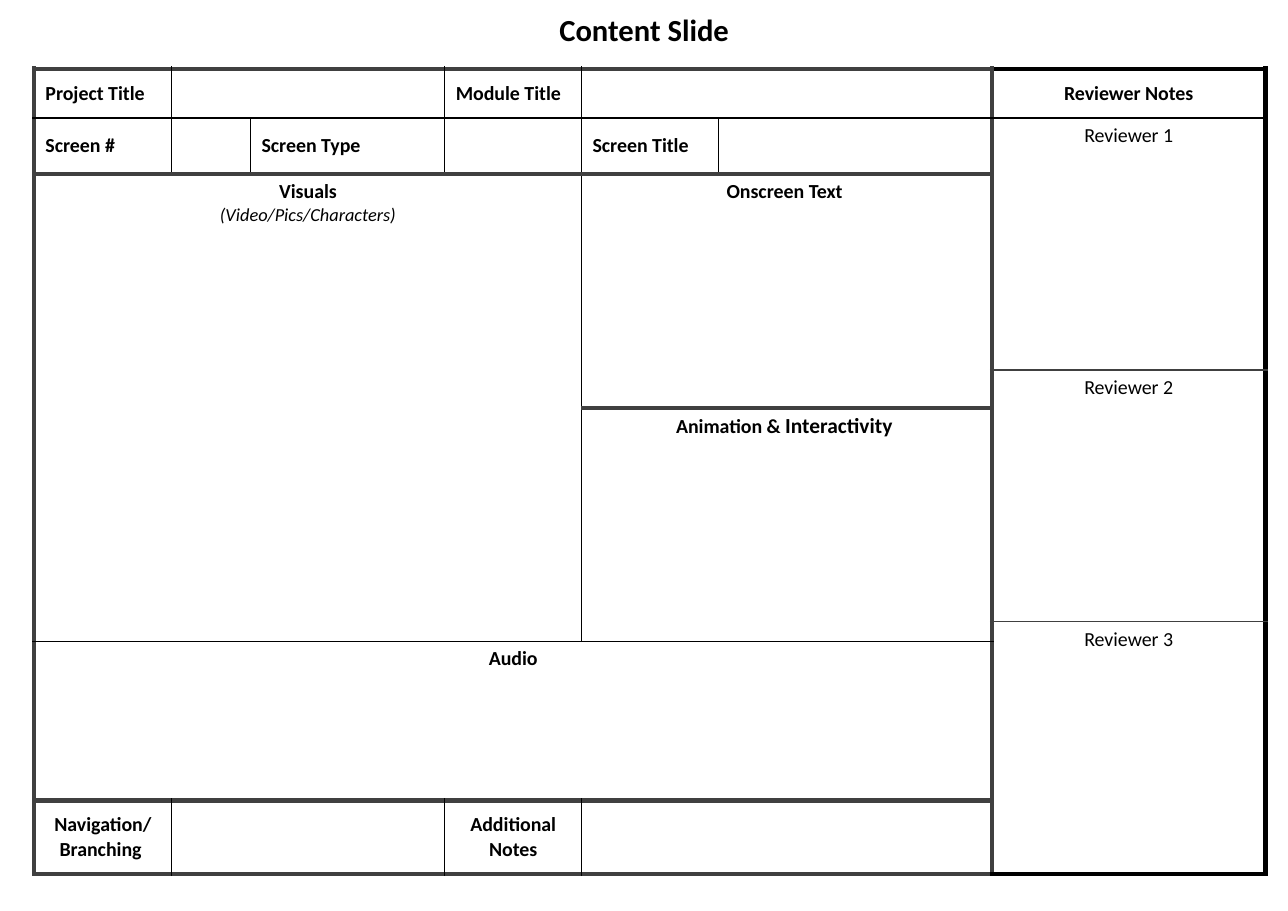
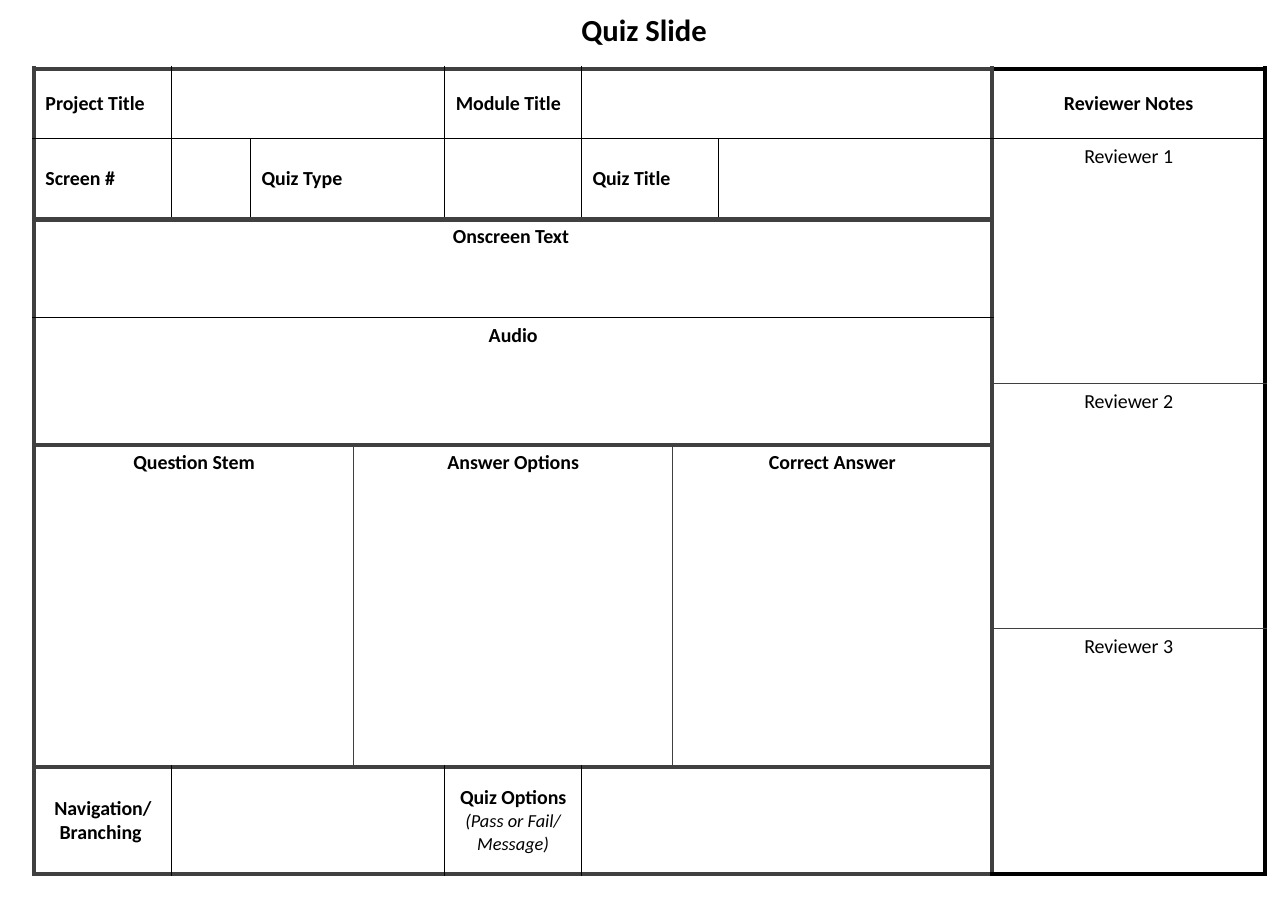
from lxml import etree
from pptx import Presentation
from pptx.dml.color import RGBColor
from pptx.enum.text import MSO_ANCHOR, MSO_AUTO_SIZE, PP_ALIGN
from pptx.oxml.ns import qn
from pptx.util import Pt

LEFT, CENTER = PP_ALIGN.LEFT, PP_ALIGN.CENTER
TOP, MIDDLE = MSO_ANCHOR.TOP, MSO_ANCHOR.MIDDLE
NO_AUTOFIT = MSO_AUTO_SIZE.NONE

FONT = "Calibri"
BLACK, GRAY = "000000", "404040"
THIN, THICK = 1, 3

# Shared grid: column edges in units, row edges in points
UNIT = 89.4
TABLE_LEFT, TABLE_TOP, TABLE_HEIGHT = 22.5, 44.8, 526.4
REVIEWER_EDGE, RIGHT_EDGE = 7, 9
THIRD = REVIEWER_EDGE / 3
REVIEWERS = ["Reviewer 1", "Reviewer 2", "Reviewer 3"]
SOFT_EDGED = REVIEWERS + ["Question Stem", "Answer Options", "Correct Answer"]


def style_span(span, size, bold=True, italic=False):
    font = span.font
    font.name, font.size, font.bold, font.italic = FONT, Pt(size), bold, italic
    font.color.rgb = RGBColor.from_string(BLACK)


def set_borders(cell, borders):
    """Borders are (width, colour) pairs in the order left, right, top, bottom."""
    properties = cell._tc.get_or_add_tcPr()
    for position, (side, (width, colour)) in enumerate(zip("LRTB", borders)):
        line = etree.Element(qn(f"a:ln{side}"), w=str(Pt(width)))
        fill = etree.SubElement(line, qn("a:solidFill"))
        etree.SubElement(fill, qn("a:srgbClr"), val=colour)
        properties.insert(position, line)


# Areas are (first row, end row, left edge, right edge, text);
# "\n" parts paragraphs and "|" parts runs
forms = [
    {
        "title": "Content Slide",
        "kind": "Screen",
        "option": "Additional Notes",
        "columns": [0, 1, 1.58, 3, 4, 5, 7, 9],
        "header": 32.3,
        "rows": [69, 221.7, 374.5, 478.5],
        "thick_rows": [0, 2, 4, 7, 8],
        "reviewer_rows": [1, 3, 5, 8],
        "areas": [
            (2, 6, 0, 4, "Visuals\n(Video/Pics/Characters)"),
            (2, 4, 4, 7, "Onscreen Text "),
            (4, 6, 4, 7, "Animation & |Interactivity "),
            (6, 7, 0, 7, "Audio"),
        ],
    },
    {
        "title": "Quiz Slide",
        "kind": "Quiz",
        "option": "Quiz Options |(Pass or Fail/ Message)",
        "columns": [0, 1, 1.58, THIRD, 3, 4, 2 * THIRD, 5, 7, 9],
        "header": 45.9,
        "rows": [98.7, 162.9, 246.3, 456.7],
        "thick_rows": [0, 2, 5, 7, 8],
        "reviewer_rows": [1, 4, 6, 8],
        "areas": [
            (2, 3, 0, 7, "Onscreen Text "),
            (3, 5, 0, 7, "Audio"),
            (5, 7, 0, THIRD, "Question Stem"),
            (5, 7, THIRD, 2 * THIRD, "Answer Options"),
            (5, 7, 2 * THIRD, 7, "Correct Answer"),
        ],
    },
]

deck = Presentation()
deck.slide_width, deck.slide_height = Pt(841.7), Pt(595.4)

for form in forms:
    page = deck.slides.add_slide(deck.slide_layouts[5])

    # Title
    title = page.shapes.title
    title.left, title.top, title.width, title.height = Pt(278), Pt(3.6), Pt(286), Pt(31.7)
    title.text_frame.text = form["title"]
    title.text_frame.auto_size = NO_AUTOFIT
    title.text_frame.vertical_anchor = MIDDLE
    title.text_frame.paragraphs[0].alignment = CENTER
    style_span(title.text_frame.paragraphs[0].runs[0], 20)

    # Row edges: the three reviewers share the height below the header equally
    columns, header = form["columns"], form["header"]
    reviewer_height = (TABLE_HEIGHT - header) / 3
    reviewer_tops = [header + index * reviewer_height for index in range(3)]
    rows = sorted([0, TABLE_HEIGHT] + form["rows"] + reviewer_tops)
    last_row = len(rows) - 2

    # Empty table
    table = page.shapes.add_table(
        len(rows) - 1, len(columns) - 1, Pt(TABLE_LEFT), Pt(TABLE_TOP),
        Pt(RIGHT_EDGE * UNIT), Pt(TABLE_HEIGHT)).table
    table.first_row = table.horz_banding = False
    for column, start, end in zip(table.columns, columns, columns[1:]):
        column.width = Pt((end - start) * UNIT)
    for row, start, end in zip(table.rows, rows, rows[1:]):
        row.height = Pt(end - start)

    # Areas common to both forms, then those of this form
    areas = [
        (0, 1, 0, 1, "Project Title"),
        (0, 1, 1, 3, ""),
        (0, 1, 3, 4, "Module Title"),
        (0, 1, 4, 7, ""),
        (0, 1, 7, 9, "Reviewer Notes"),
        (1, 2, 0, 1, "Screen #"),
        (1, 2, 1, 1.58, ""),
        (1, 2, 1.58, 3, form["kind"] + " Type"),
        (1, 2, 3, 4, ""),
        (1, 2, 4, 5, form["kind"] + " Title"),
        (1, 2, 5, 7, ""),
        (7, 8, 0, 1, "Navigation/ Branching "),
        (7, 8, 1, 3, ""),
        (7, 8, 3, 4, form["option"]),
        (7, 8, 4, 7, ""),
    ] + form["areas"]
    bounds = form["reviewer_rows"]
    for name, start, end in zip(REVIEWERS, bounds, bounds[1:]):
        areas.append((start, end, REVIEWER_EDGE, RIGHT_EDGE, name))

    for first, end, left, right, text in areas:
        first_column, end_column = columns.index(left), columns.index(right)
        in_reviewers = left == REVIEWER_EDGE

        # Borders: heavy frame and section lines, thin lines elsewhere
        thin_colour = GRAY if text in SOFT_EDGED else BLACK
        borders = []
        for edge in (left, right):
            if edge in (0, REVIEWER_EDGE, RIGHT_EDGE):
                borders.append((THICK, BLACK if edge == RIGHT_EDGE else GRAY))
            else:
                borders.append((THIN, thin_colour))
        for edge in (first, end):
            if edge in form["thick_rows"]:
                borders.append((THICK, BLACK if in_reviewers else GRAY))
            else:
                borders.append((THIN, BLACK if edge == 1 else thin_colour))
        for row in range(first, end):
            for column in range(first_column, end_column):
                table.cell(row, column).fill.background()
                set_borders(table.cell(row, column), borders)

        # Merging
        cell = table.cell(first, first_column)
        if end - first > 1 or end_column - first_column > 1:
            cell.merge(table.cell(end - 1, end_column - 1))

        # Text
        if not text:
            continue
        is_label = first < 2 and not in_reviewers
        cell.vertical_anchor = MIDDLE if is_label or first in (0, last_row) else TOP
        for index, line in enumerate(text.split("\n")):
            frame = cell.text_frame
            para = frame.add_paragraph() if index else frame.paragraphs[0]
            para.alignment = LEFT if is_label else CENTER
            for part in line.split("|"):
                span = para.add_run()
                span.text = part
                is_hint = part.startswith("(")
                size = 12 if is_hint else 14 if part == "Interactivity " else 13
                style_span(span, size, not is_hint and part not in REVIEWERS, is_hint)

deck.save("out.pptx")
